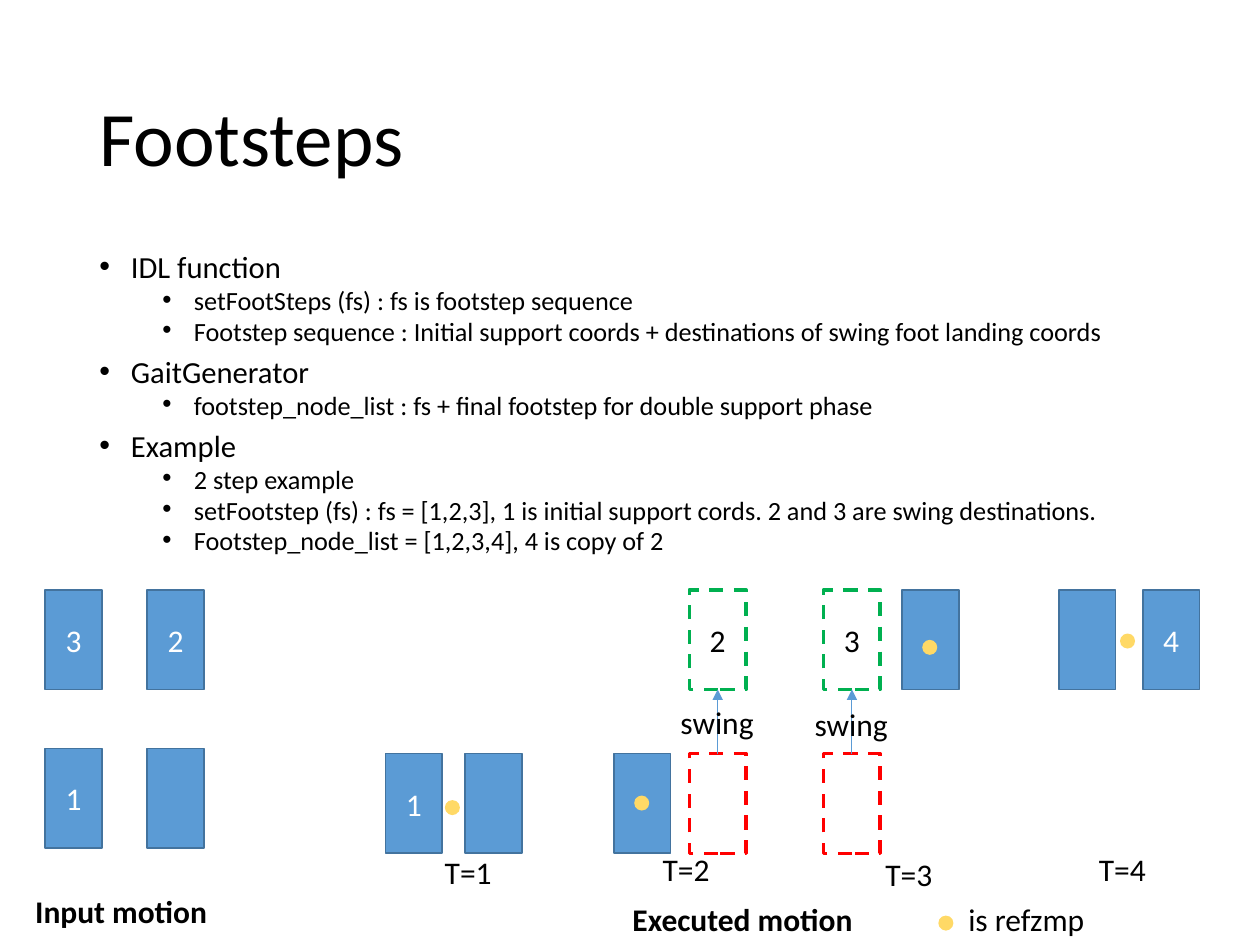
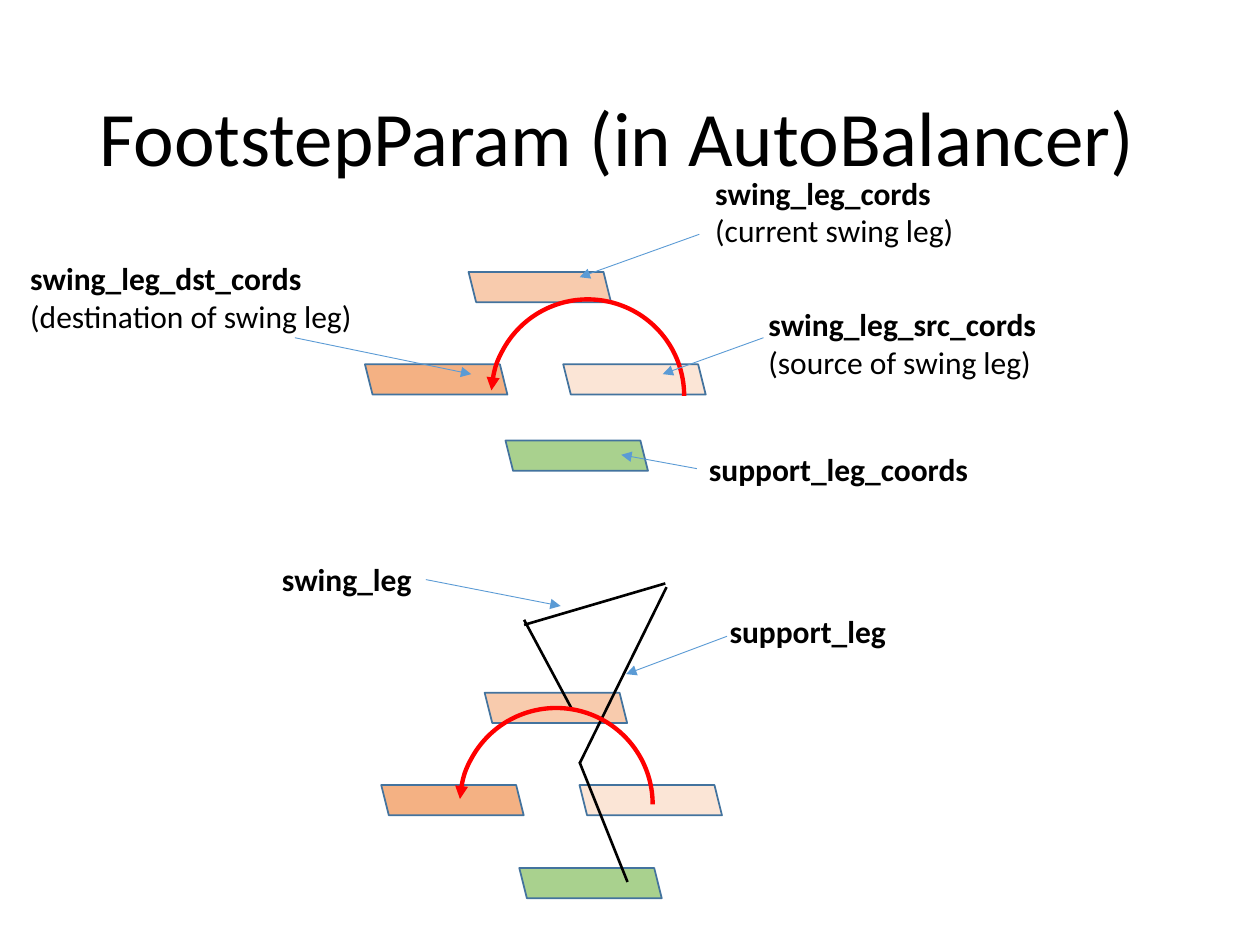
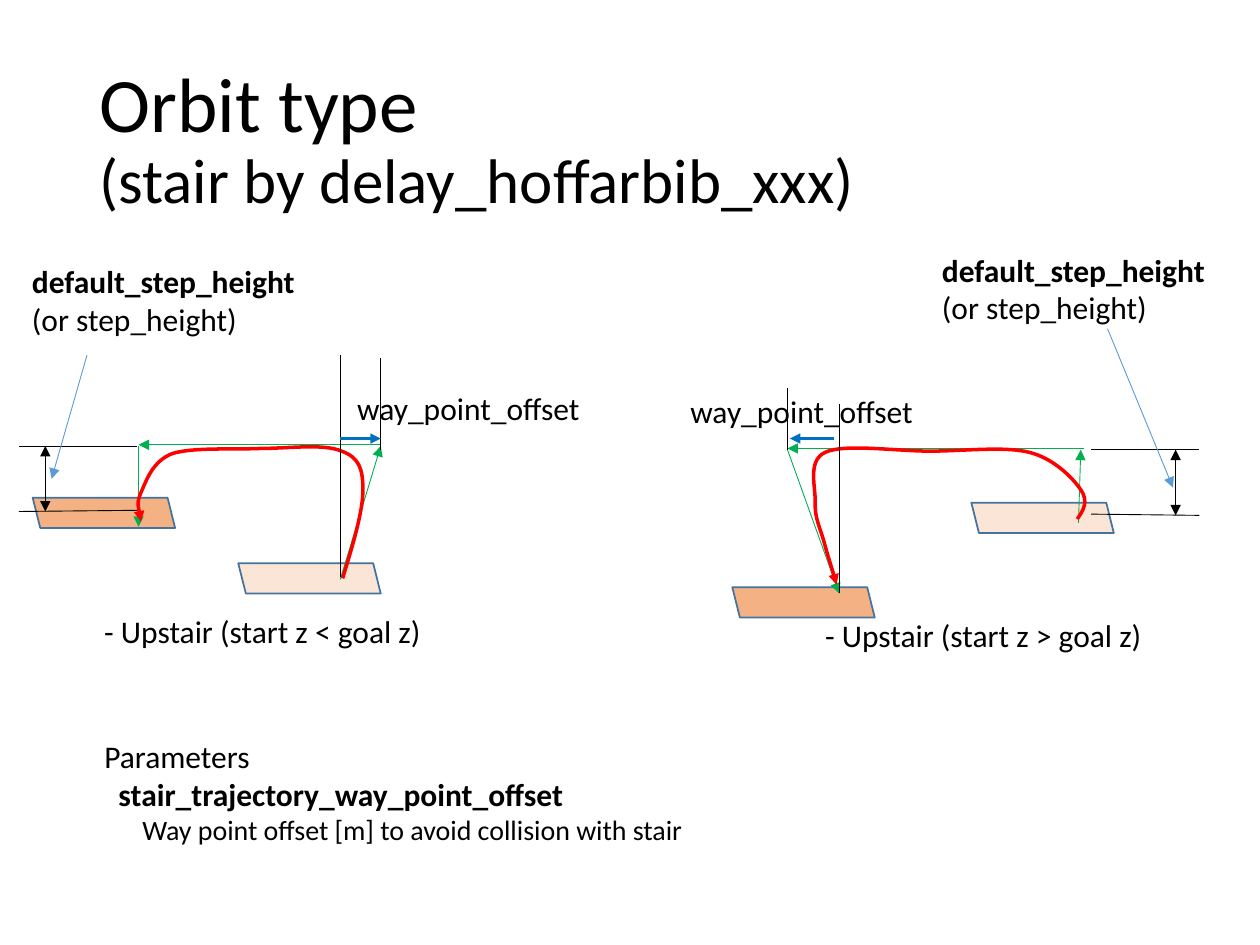
from pptx import Presentation
from pptx.dml.color import RGBColor
from pptx.enum import dml, shapes, text
from pptx.oxml.ns import qn
from pptx.oxml.xmlchemy import OxmlElement
from pptx.util import Pt

# Shared look
FONT = "Calibri"
BLACK = RGBColor(0x00, 0x00, 0x00)
WHITE = RGBColor(0xFF, 0xFF, 0xFF)
BLUE = RGBColor(0x5B, 0x9B, 0xD5)
OUTLINE = RGBColor(0x43, 0x73, 0x9E)
OFFSET_BLUE = RGBColor(0x00, 0x70, 0xC0)
RED = RGBColor(0xFF, 0x00, 0x00)
GREEN = RGBColor(0x00, 0xB0, 0x50)
YELLOW = RGBColor(0xFF, 0xD9, 0x66)
DESTINATION = RGBColor(0xF4, 0xB1, 0x83)
CURRENT = RGBColor(0xF8, 0xCB, 0xAD)
SOURCE = RGBColor(0xFB, 0xE5, 0xD6)
SUPPORT = RGBColor(0xA9, 0xD1, 0x8E)

TITLE_ONLY, TITLE_AND_BODY = 5, 1
FOOT_W, FOOT_H = 32.4, 57      # foot seen from above
SOLE_W, SOLE_H = 81.4, 17.3    # foot seen from the side
DOT = 8.6
ARC = 110.2
UPPER, LOWER, INPUT_LOWER = 337, 430.6, 427.7


def box(left, top, width, height):
    return Pt(left), Pt(top), Pt(width), Pt(height)


def set_font(font, size, color=BLACK, bold=False):
    font.name, font.size, font.bold = FONT, Pt(size), bold
    font.color.rgb = color


def set_indent(paragraph, margin, hanging=0):
    properties = paragraph._p.get_or_add_pPr()
    properties.set("marL", str(Pt(margin)))
    properties.set("indent", str(Pt(-hanging)))
    return properties


def add_bullet(paragraph, margin):
    properties = set_indent(paragraph, margin, hanging=18)
    for tag, key, value in (("a:buFont", "typeface", "Arial"), ("a:buChar", "char", "•")):
        item = OxmlElement(tag)
        item.set(key, value)
        properties.append(item)


def add_arrowheads(drawn, *ends):
    outline = drawn._element.spPr.find(qn("a:ln"))
    for end in ends:
        item = OxmlElement(f"a:{end}End")
        item.set("type", "triangle")
        outline.append(item)


def add_slide(deck, layout, heading, subheading=None):
    slide = deck.slides.add_slide(deck.slide_layouts[layout])
    title = slide.shapes.title
    title.left, title.top, title.width, title.height = box(49.6, 28.6, 620.8, 104.4)
    frame = title.text_frame
    frame.auto_size = text.MSO_AUTO_SIZE.NONE
    frame.vertical_anchor = text.MSO_ANCHOR.MIDDLE
    line = frame.paragraphs[0]
    line.alignment, line.line_spacing = text.PP_ALIGN.LEFT, 0.9
    run = line.add_run()
    run.text = heading
    if subheading:
        set_font(run.font, 44)
        line.add_line_break()
        run = line.add_run()
        run.text = subheading
        set_font(run.font, 36)
    else:
        set_font(line.font, 44)
    return slide


def fill_body(slide, items):
    body = slide.placeholders[1]
    body.left, body.top, body.width, body.height = box(49.6, 144, 620.8, 342.6)
    frame = body.text_frame
    frame.auto_size = text.MSO_AUTO_SIZE.NONE
    for i, (level, words) in enumerate(items):
        line = frame.add_paragraph() if i else frame.paragraphs[0]
        line.text, line.level = words, level
        add_bullet(line, 54 if level else 18)
        line.line_spacing = 0.7
        line.space_before = Pt(5 if level else 10)
        set_font(line.font, 15 if level else 17.5)


def add_label(slide, left, top, width, *lines):
    """Each line is (words, bold) or (words, bold, size, indent)."""
    height = 7.2 + 21.9 * len(lines)
    frame = slide.shapes.add_textbox(*box(left, top, width, height)).text_frame
    frame.word_wrap = False
    frame.auto_size = text.MSO_AUTO_SIZE.SHAPE_TO_FIT_TEXT
    for i, (words, bold, *layout) in enumerate(lines):
        size, margin = layout or (18, 0)
        line = frame.add_paragraph() if i else frame.paragraphs[0]
        line.text = words
        if margin:
            set_indent(line, margin)
        set_font(line.font, size, bold=bold)


def add_preset(slide, kind, place, fill=None, line=None, width=1.0):
    shape = slide.shapes.add_shape(kind, *box(*place))
    shape.shadow.inherit = False
    if fill is None:
        shape.fill.background()
    else:
        shape.fill.solid()
        shape.fill.fore_color.rgb = fill
    if line is None:
        shape.line.fill.background()
    else:
        shape.line.color.rgb = line
        shape.line.width = Pt(width)
    return shape


def add_foot(slide, left, top, number="", dashed=None):
    """A filled foot, or a dashed one in the given colour."""
    foot = add_preset(slide, shapes.MSO_SHAPE.RECTANGLE, (left, top, FOOT_W, FOOT_H),
                      WHITE if dashed else BLUE, dashed or OUTLINE, 2 if dashed else 1)
    if dashed:
        foot.line.dash_style = dml.MSO_LINE.DASH
    if number:
        frame = foot.text_frame
        frame.vertical_anchor = text.MSO_ANCHOR.MIDDLE
        line = frame.paragraphs[0]
        line.text, line.alignment = number, text.PP_ALIGN.CENTER
        set_font(line.font, 18, BLACK if dashed else WHITE)


def add_sole(slide, left, top, fill):
    sole = add_preset(slide, shapes.MSO_SHAPE.PARALLELOGRAM,
                      (left, top, SOLE_W, SOLE_H), fill, OUTLINE)
    sole._element.spPr.find(qn("a:xfrm")).set("flipH", "1")


def add_swing_arc(slide, left, top):
    arc = add_preset(slide, shapes.MSO_SHAPE.ARC, (left, top, ARC, ARC), line=RED, width=2.5)
    arc.adjustments[0], arc.adjustments[1] = 109.91, 0
    add_arrowheads(arc, "head")


def add_line(slide, ends, color, width=0.5, heads=()):
    line = slide.shapes.add_connector(shapes.MSO_CONNECTOR.STRAIGHT, *box(*ends))
    line.line.color.rgb = color
    line.line.width = Pt(width)
    add_arrowheads(line, *heads)
    line._element.spPr.append(OxmlElement("a:effectLst"))


def add_lines(slide, lines, color, width=0.5, heads=()):
    for ends in lines:
        add_line(slide, ends, color, width, heads)


def add_orbit(slide, points):
    """A start point, then three Bezier points for each curve."""
    points = [(Pt(x), Pt(y)) for x, y in points]
    builder = slide.shapes.build_freeform(*points[0])
    builder.add_line_segments(points[1:], close=False)
    orbit = builder.convert_to_shape()
    path = orbit._element.spPr.find(".//" + qn("a:path"))
    segments = path.findall(qn("a:lnTo"))
    for i in range(0, len(segments), 3):
        curve = OxmlElement("a:cubicBezTo")
        for segment in segments[i:i + 3]:
            curve.append(segment[0])
            path.remove(segment)
        path.append(curve)
    orbit.shadow.inherit = False
    orbit.fill.background()
    orbit.line.color.rgb = RED
    orbit.line.width = Pt(2)
    add_arrowheads(orbit, "tail")


def build_footsteps(deck):
    slide = add_slide(deck, TITLE_AND_BODY, "Footsteps")
    fill_body(slide, [
        (0, "IDL function"),
        (1, "setFootSteps (fs) : fs is footstep sequence"),
        (1, "Footstep sequence : Initial support coords + destinations of swing foot landing coords"),
        (0, "GaitGenerator"),
        (1, "footstep_node_list : fs + final footstep for double support phase"),
        (0, "Example"),
        (1, "2 step example"),
        (1, "setFootstep (fs) : fs = [1,2,3], 1 is initial support cords. 2 and 3 are swing destinations."),
        (1, "Footstep_node_list = [1,2,3,4], 4 is copy of 2"),
    ])
    # Standing feet: input motion, then T=1 to T=4
    for left, top, number in (
            (25.9, INPUT_LOWER, "1"), (84.2, INPUT_LOWER, ""),
            (25.9, UPPER, "3"), (84.2, UPPER, "2"),
            (220.3, LOWER, "1"), (265.9, LOWER, ""), (350.8, LOWER, ""),
            (515.5, UPPER, ""), (605, UPPER, ""), (653, UPPER, "4")):
        add_foot(slide, left, top, number)
    # Swinging feet
    for left, number, label_top in ((393.9, "2", 398.2), (470.6, "3", 399.1)):
        add_foot(slide, left, LOWER, dashed=RED)
        add_foot(slide, left, UPPER, number, dashed=GREEN)
        middle = left + FOOT_W / 2
        add_line(slide, (middle, LOWER, middle, UPPER + FOOT_H), BLUE, heads=["tail"])
        add_label(slide, middle - 28.4, label_top, 56.9, ("swing", False))
    # Reference points and their key
    for left, top in ((254.2, 457.2), (362.4, 454.6), (527, 365.6), (640, 362), (536.2, 523.2)):
        add_preset(slide, shapes.MSO_SHAPE.OVAL, (left, top, DOT, DOT), YELLOW)
    add_label(slide, 546.2, 510.5, 81.6, ("is refzmp", False))
    # Captions
    for step, (left, top) in enumerate(
            ((247, 483.8), (371.5, 482.4), (498.8, 485.2), (620.8, 482.4)), 1):
        add_label(slide, left, top, 41.8, (f"T={step}", False))
    add_label(slide, 13, 506.2, 113.8, ("Input motion", True))
    add_label(slide, 354.3, 510.5, 143.3, ("Executed motion", True))


def build_footstep_param(deck):
    slide = add_slide(deck, TITLE_ONLY, "FootstepParam (in AutoBalancer)")
    # Soles of the coordinates group, then of the legs group
    for left, top, fill in (
            (208.6, 208.2, DESTINATION), (321.9, 208.2, SOURCE),
            (288.9, 251.8, SUPPORT), (267.8, 155.4, CURRENT),
            (217.9, 448.6, DESTINATION), (331.2, 448.6, SOURCE),
            (296.8, 496, SUPPORT), (277, 395.9, CURRENT)):
        add_sole(slide, left, top, fill)
    # Legs
    add_lines(slide, [(326.9, 405.4, 299.5, 354.2), (299.5, 357.1, 380.2, 333.4),
                      (331.2, 435.6, 358.6, 504), (380.9, 335.5, 331.2, 436.3)], BLACK, 1.5)
    add_swing_arc(slide, 280.8, 171.1)
    add_swing_arc(slide, 262.8, 404.6)
    # Callouts
    add_lines(slide, [(168.5, 193, 269.3, 213.8), (436.3, 193, 378.7, 213.8),
                      (399.6, 133.9, 331.2, 158.4), (398.2, 267.8, 355, 259.9),
                      (415.4, 363.6, 357.8, 385.2), (243.4, 331.2, 320.4, 346.3)],
              BLUE, heads=["tail"])
    for left, top, width, name, *meaning in (
            (432, 170.6, 168.5, "swing_leg_src_cords", "(source of swing leg)"),
            (10.2, 144.6, 204.5, "swing_leg_dst_cords", "(destination of swing leg)"),
            (401.6, 95.6, 152.6, "swing_leg_cords", "(current swing leg)"),
            (398, 253.6, 163.4, "support_leg_coords"),
            (409.8, 346.3, 104.4, "support_leg"),
            (154, 316.3, 89.3, "swing_leg")):
        add_label(slide, left, top, width, (name, True), *((words, False) for words in meaning))


def build_orbit_type(deck):
    slide = add_slide(deck, TITLE_ONLY, "Orbit type", "(stair by delay_hoffarbib_xxx)")
    for left, top, fill in ((18.7, 284.4, DESTINATION), (136.2, 321.9, SOURCE),
                            (418.5, 335.6, DESTINATION), (555.1, 287.3, SOURCE)):
        add_sole(slide, left, top, fill)
    # Way point routes, going up and going down
    add_lines(slide, [(194.4, 331.2, 217.6, 254.9), (217.6, 254.2, 79.2, 254.2),
                      (79.2, 254.9, 79.2, 301),
                      (616.3, 298.8, 617.6, 257), (619.2, 256.3, 450, 256.3),
                      (450, 257, 479.5, 339.1)], GREEN, heads=["tail"])
    # Foot orbits
    add_orbit(slide, [
        (195.8, 330.5), (201.6, 311.8), (207.4, 292.3), (207.4, 280.1),
        (207.4, 267.8), (205.2, 261.4), (195.1, 257.8),
        (185, 253.4), (164.9, 256.3), (149, 256.3),
        (132.5, 257), (110.2, 255.6), (98.6, 259.2),
        (87.1, 263.5), (83.5, 275), (80.6, 281.5),
        (77.8, 288), (80.6, 298.1), (80.6, 298.1)])
    add_orbit(slide, [
        (615.6, 296.6), (619.2, 291.6), (622.1, 286.6), (617.8, 280.1),
        (613.4, 273.6), (602.6, 262.1), (588.2, 258.5),
        (573.8, 254.9), (550.8, 257.8), (531.4, 257.8),
        (511.9, 257.8), (482.4, 253.4), (471.6, 258.5),
        (460.8, 263.5), (466.6, 279.4), (465.8, 288),
        (465.8, 296.6), (468.7, 301.7), (470.9, 309.6),
        (473, 317.5), (475.9, 326.2), (478.1, 334.1)])
    # Guide lines and dimensions
    add_lines(slide, [(194.4, 329.8, 194.4, 203), (217.6, 257, 217.6, 204.5),
                      (450, 257, 450, 221.8), (479.5, 339.1, 479.5, 231.1),
                      (78.5, 254.9, 10.8, 254.9), (78.5, 291.6, 10.8, 292.3),
                      (623.5, 257, 685.4, 257), (623.5, 293.8, 685.4, 294.5)], BLACK)
    add_lines(slide, [(25.9, 254.9, 25.9, 292.3), (671.8, 257, 671.8, 294.5)],
              BLACK, heads=["head", "tail"])
    add_lines(slide, [(194.4, 250.6, 217.6, 250.6), (476.6, 250.6, 451.4, 250.6)],
              OFFSET_BLUE, 1.5, ["tail"])
    add_lines(slide, [(49.7, 203, 29.5, 273.6), (632.9, 187.9, 670.3, 278.6)],
              BLUE, heads=["tail"])
    # Labels, going up and going down
    for left, top in ((197, 218.9), (387.4, 220.3)):
        add_label(slide, left, top, 143.3, ("way_point_offset", False))
    for left, top in ((11.2, 146.2), (531.2, 139.6)):
        add_label(slide, left, top, 165.6,
                  ("default_step_height", True), ("(or step_height)", False))
    add_label(slide, 52.5, 346.3, 197.3, ("- Upstair (start z < goal z)", False))
    add_label(slide, 464.4, 348.5, 197.3, ("- Upstair (start z > goal z)", False))
    # Parameters
    add_label(slide, 52.5, 417.6, 349.2, ("Parameters", False),
              ("stair_trajectory_way_point_offset", True, 18, 8.1),
              ("Way point offset [m] to avoid collision with stair", False, 16, 21.7))


def main():
    deck = Presentation()
    deck.slide_width, deck.slide_height = Pt(720), Pt(540)
    build_footsteps(deck)
    build_footstep_param(deck)
    build_orbit_type(deck)
    deck.save("out.pptx")


main()
